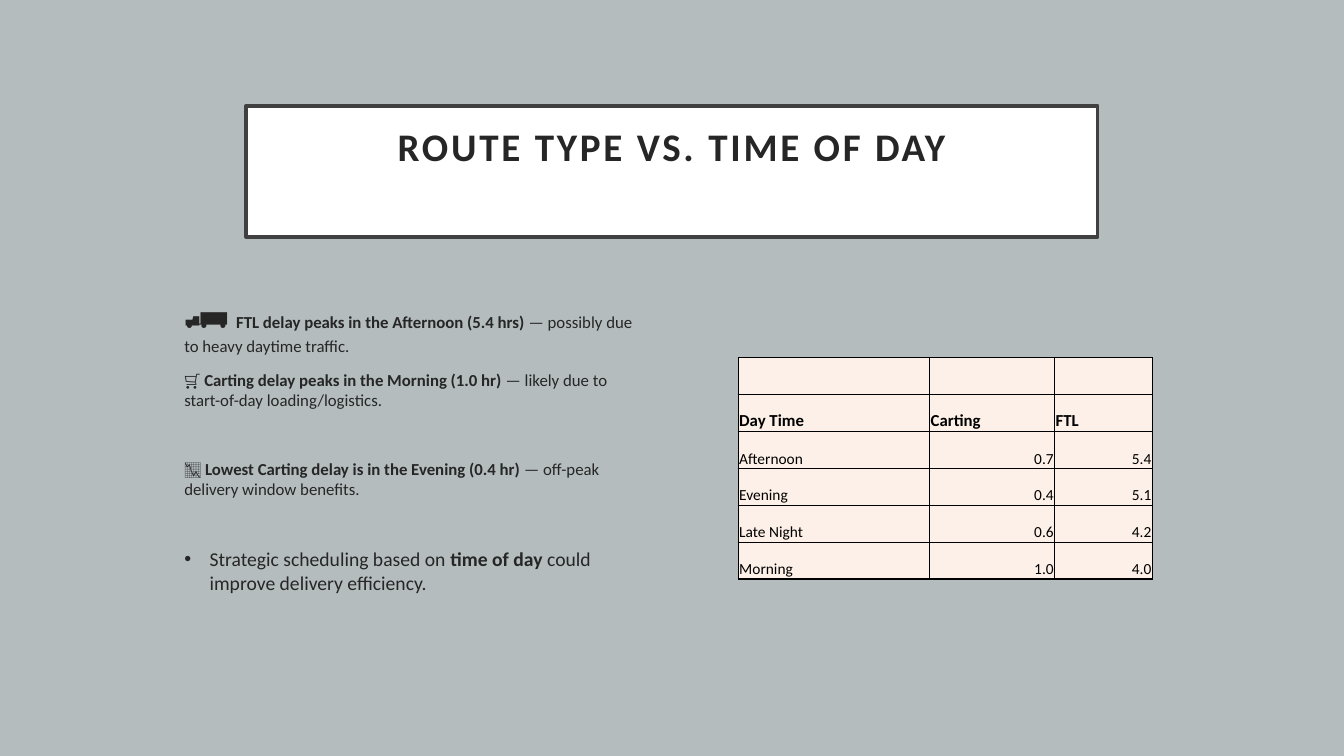
from dataclasses import dataclass

from lxml import etree
from pptx import Presentation
from pptx.dml.color import RGBColor
from pptx.enum.shapes import MSO_SHAPE
from pptx.enum.text import MSO_ANCHOR, PP_ALIGN
from pptx.oxml.ns import qn
from pptx.util import Pt

RECTANGLE = MSO_SHAPE.RECTANGLE
TOP, BOTTOM = MSO_ANCHOR.TOP, MSO_ANCHOR.BOTTOM
LEFT, CENTER, RIGHT = PP_ALIGN.LEFT, PP_ALIGN.CENTER, PP_ALIGN.RIGHT


@dataclass(frozen=True)
class Theme:
    font: str = "Calibri"
    background: str = "B4BCBE"
    panel: str = "FFFFFF"
    frame: str = "404040"
    text: str = "262626"
    table_text: str = "000000"
    table_fill: str = "FDF0E8"
    title_size: float = 27.9
    icon_size: float = 24
    conclusion_size: float = 14
    finding_size: float = 12
    value_size: float = 11


THEME = Theme()
PARAGRAPH_GAP = 10
SECTION_GAP = 34.6
BULLET_INDENT = 18
CELL_MARGIN = 0.72

FINDINGS = [
    ("🚛 ", "FTL delay peaks in the Afternoon (5.4 hrs)",
     " — possibly due to heavy daytime traffic.", THEME.icon_size, PARAGRAPH_GAP),
    ("🛒 ", "Carting delay peaks in the Morning (1.0 hr)",
     " — likely due to start-of-day loading/logistics.", THEME.finding_size, PARAGRAPH_GAP),
    ("📉 ", "Lowest Carting delay is in the Evening (0.4 hr)",
     " — off-peak delivery window benefits.", THEME.finding_size, SECTION_GAP),
]
DELAYS = [
    ("", "", ""),
    ("Day Time", "Carting", "FTL"),
    ("Afternoon", "0.7", "5.4"),
    ("Evening", "0.4", "5.1"),
    ("Late Night", "0.6", "4.2"),
    ("Morning", "1.0", "4.0"),
]
HEADER_ROW = 1
COLUMN_WIDTHS = (136.8, 89.3, 69.8)
ROW_HEIGHT = 26.4


def rgb(color):
    return RGBColor.from_string(color)


def add_run(paragraph, text, size, bold=False, color=THEME.text):
    run = paragraph.add_run()
    run.text = text
    run.font.name = THEME.font
    run.font.size = Pt(size)
    run.font.bold = bold
    run.font.color.rgb = rgb(color)
    return run


def add_title(slide, text):
    shape = slide.shapes.add_shape(RECTANGLE, Pt(175.7), Pt(75.6), Pt(608.4), Pt(93.6))
    shape.shadow.inherit = False
    shape.fill.solid()
    shape.fill.fore_color.rgb = rgb(THEME.panel)
    shape.line.color.rgb = rgb(THEME.frame)
    shape.line.width = Pt(2.5)
    frame = shape.text_frame
    frame.vertical_anchor = TOP
    frame.margin_top = Pt(16)
    paragraph = frame.paragraphs[0]
    paragraph.alignment = CENTER
    paragraph.line_spacing = 0.9
    run = add_run(paragraph, text, THEME.title_size, bold=True)
    run.font._element.set("spc", "200")


def set_bullet(paragraph):
    properties = paragraph._p.get_or_add_pPr()
    properties.set("marL", str(Pt(BULLET_INDENT)))
    properties.set("indent", str(-Pt(BULLET_INDENT)))
    etree.SubElement(properties, qn("a:buFont")).set("typeface", "Arial")
    etree.SubElement(properties, qn("a:buChar")).set("char", "•")


def add_findings(slide):
    box = slide.shapes.add_textbox(Pt(124.6), Pt(207.4), Pt(336.2), Pt(221))
    frame = box.text_frame
    frame.word_wrap = True
    paragraph = frame.paragraphs[0]
    for icon, finding, reason, icon_size, gap in FINDINGS:
        paragraph.space_before = Pt(gap)
        add_run(paragraph, icon, icon_size)
        add_run(paragraph, finding, THEME.finding_size, bold=True)
        add_run(paragraph, reason, THEME.finding_size)
        paragraph = frame.add_paragraph()
    paragraph.space_before = Pt(SECTION_GAP)
    set_bullet(paragraph)
    add_run(paragraph, "Strategic scheduling based on ", THEME.conclusion_size)
    add_run(paragraph, "time of day", THEME.conclusion_size, bold=True)
    add_run(paragraph, " could improve delivery efficiency.", THEME.conclusion_size)


def set_borders(cell):
    properties = cell._tc.get_or_add_tcPr()
    for position, side in enumerate(("a:lnL", "a:lnR", "a:lnT", "a:lnB")):
        line = etree.Element(qn(side), w=str(Pt(1)))
        fill = etree.SubElement(line, qn("a:solidFill"))
        etree.SubElement(fill, qn("a:srgbClr")).set("val", THEME.table_text)
        properties.insert(position, line)


def fill_cell(cell, text, header, alignment):
    cell.fill.solid()
    cell.fill.fore_color.rgb = rgb(THEME.table_fill)
    set_borders(cell)
    cell.vertical_anchor = BOTTOM
    cell.margin_left = cell.margin_right = cell.margin_top = Pt(CELL_MARGIN)
    cell.margin_bottom = Pt(0)
    if text:
        paragraph = cell.text_frame.paragraphs[0]
        paragraph.alignment = alignment
        size = THEME.finding_size if header else THEME.value_size
        add_run(paragraph, text, size, header, THEME.table_text)


def add_delay_table(slide):
    table = slide.shapes.add_table(
        len(DELAYS), len(COLUMN_WIDTHS), Pt(527.3), Pt(255.3),
        Pt(sum(COLUMN_WIDTHS)), Pt(ROW_HEIGHT * len(DELAYS))).table
    table.first_row = False
    table.horz_banding = False
    for column, width in zip(table.columns, COLUMN_WIDTHS):
        column.width = Pt(width)
    for row_index, values in enumerate(DELAYS):
        table.rows[row_index].height = Pt(ROW_HEIGHT)
        header = row_index == HEADER_ROW
        for column_index, text in enumerate(values):
            alignment = LEFT if header or column_index == 0 else RIGHT
            fill_cell(table.cell(row_index, column_index), text, header, alignment)


def main():
    presentation = Presentation()
    presentation.slide_width = Pt(960)
    presentation.slide_height = Pt(540)
    slide = presentation.slides.add_slide(presentation.slide_layouts[6])
    slide.background.fill.solid()
    slide.background.fill.fore_color.rgb = rgb(THEME.background)
    add_title(slide, "ROUTE TYPE VS. TIME OF DAY")
    add_findings(slide)
    add_delay_table(slide)
    presentation.save("out.pptx")


if __name__ == "__main__":
    main()
